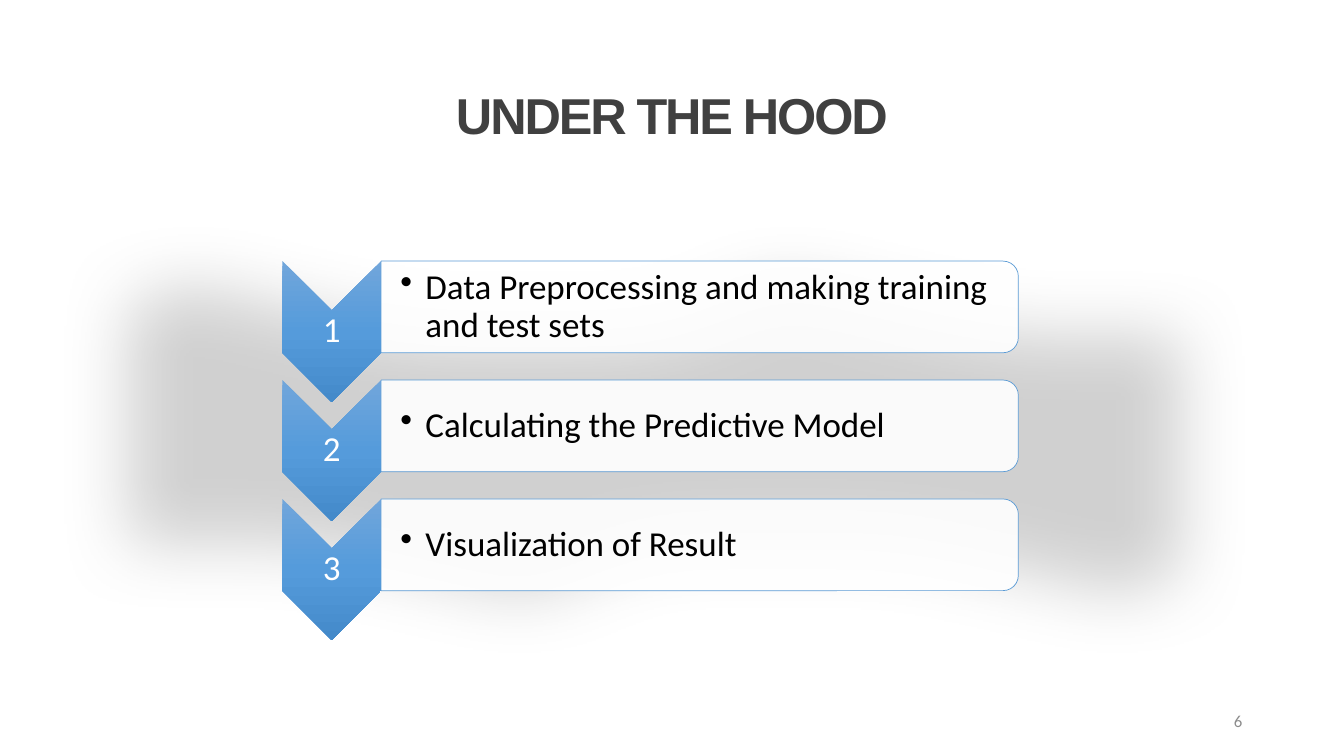
from lxml import etree
from pptx import Presentation
from pptx.dml.color import RGBColor
from pptx.enum.shapes import MSO_SHAPE
from pptx.enum.text import MSO_ANCHOR, PP_ALIGN
from pptx.oxml.ns import qn
from pptx.util import Inches, Pt

WAVE, CHEVRON, PANEL = (MSO_SHAPE.DOUBLE_WAVE, MSO_SHAPE.CHEVRON,
                        MSO_SHAPE.ROUND_2_SAME_RECTANGLE)
LEFT, MID, RIGHT = PP_ALIGN.LEFT, PP_ALIGN.CENTER, PP_ALIGN.RIGHT
MIDDLE = MSO_ANCHOR.MIDDLE

STEPS = ["Data Preprocessing and making training and test sets",
         "Calculating the Predictive Model",
         "Visualization of Result"]
STOPS = [(0, "71A6DB"), (50, "559BDB"), (100, "448ACA")]


def rgb(code):
    return RGBColor.from_string(code)


def node(parent, tag, **attrs):
    item = etree.SubElement(parent, qn(tag))
    for key, value in attrs.items():
        item.set(key, str(value))
    return item


def place(shape, box):
    shape.left, shape.top, shape.width, shape.height = map(Inches, box)


def write(shape, text, size=25, font="Calibri", color="000000", bold=False,
          align=LEFT, inset=(0.02, 0.02), line=None, track=None, bullet=None):
    frame = shape.text_frame
    frame.word_wrap = True
    frame.vertical_anchor = MIDDLE
    frame.margin_left, frame.margin_right = map(Inches, inset)
    frame.margin_top = frame.margin_bottom = Inches(0.02)
    para = frame.paragraphs[0]
    para.alignment, para.line_spacing = align, line
    run = para.add_run()
    run.text = text
    run.font.size, run.font.name, run.font.bold = Pt(size), font, bold
    run.font.color.rgb = rgb(color)
    if track:
        run._r.get_or_add_rPr().set("spc", str(track))
    if bullet:
        props = para._p.get_or_add_pPr()
        props.set("marL", str(Inches(0.25)))
        props.set("indent", str(-Inches(0.25)))
        node(props, "a:buChar", char=bullet)


def label(slide, box, text, **style):
    write(slide.shapes.add_textbox(*map(Inches, box)), text, **style)


def shape(slide, kind, box, turn=0):
    """Add a shape whose drawn outline fills the box, also at a quarter turn."""
    x, y, w, h = box
    if turn:
        x, y, w, h = x + (w - h) / 2, y + (h - w) / 2, h, w
    item = slide.shapes.add_shape(kind, *map(Inches, (x, y, w, h)))
    item.rotation = turn
    item.shadow.inherit = False
    item.line.fill.background()
    return item


def paint(item, color, alpha):
    item.fill.solid()
    item.fill.fore_color.rgb = rgb(color)
    fill = item._element.spPr.find(qn("a:solidFill"))
    node(fill[0], "a:alpha", val=alpha * 1000)


def shade(item):
    item.fill.gradient()
    grad = item._element.spPr.find(qn("a:gradFill"))
    grad.set("rotWithShape", "0")
    for child in list(grad):
        grad.remove(child)
    stops = node(grad, "a:gsLst")
    for pos, color in STOPS:
        node(node(stops, "a:gs", pos=pos * 1000), "a:srgbClr", val=color)
    node(grad, "a:lin", ang=90 * 60000, scaled=0)


def title(slide, box, text):
    head = slide.shapes.title
    place(head, box)
    write(head, text, size=36, font="Arial", color="404040", bold=True,
          align=MID, track=-150)


def cloud(slide, box):
    wave = shape(slide, WAVE, box)
    paint(wave, "A5A5A5", 50)
    effects = wave._element.spPr.find(qn("a:effectLst"))
    node(effects, "a:softEdge", rad=Pt(50))


def step(slide, box, number, text):
    x, y, w, h = box
    mark, tall = 0.98, 1.4
    # Numbered chevron
    arrow = shape(slide, CHEVRON, (x, y, mark, tall), 90)
    shade(arrow)
    label(slide, (x, y + mark / 2, mark, tall - mark), str(number),
          color="FFFFFF", align=MID, line=0.9)
    # Panel with its bullet
    panel = shape(slide, PANEL, (x + mark, y, w - mark, h), 90)
    paint(panel, "FFFFFF", 90)
    panel.line.color.rgb = rgb("5B9BD5")
    panel.line.width = Pt(0.5)
    label(slide, (x + mark, y + 0.05, w - mark - 0.04, h - 0.1), text,
          inset=(0.19, 0.02), line=0.9, bullet="•")


def steps(slide, box, pitch=1.18):
    x, y, w, h = box
    for i, text in enumerate(STEPS):
        step(slide, (x, y + i * pitch, w, h), i + 1, text)


def main():
    deck = Presentation()
    deck.slide_width, deck.slide_height = Inches(13.33), Inches(7.5)
    slide = deck.slides.add_slide(deck.slide_layouts[5])
    title(slide, (2.81, 0.78, 7.71, 0.71), "UNDER THE HOOD")
    cloud(slide, (0.58, 2.08, 11.83, 4.57))
    steps(slide, (2.8, 2.59, 7.3, 0.91))
    # Page number
    label(slide, (9.42, 6.95, 3, 0.4), "6", size=12, color="8C8C8C",
          align=RIGHT, inset=(0.1, 0.1))
    deck.save("out.pptx")


if __name__ == "__main__":
    main()
